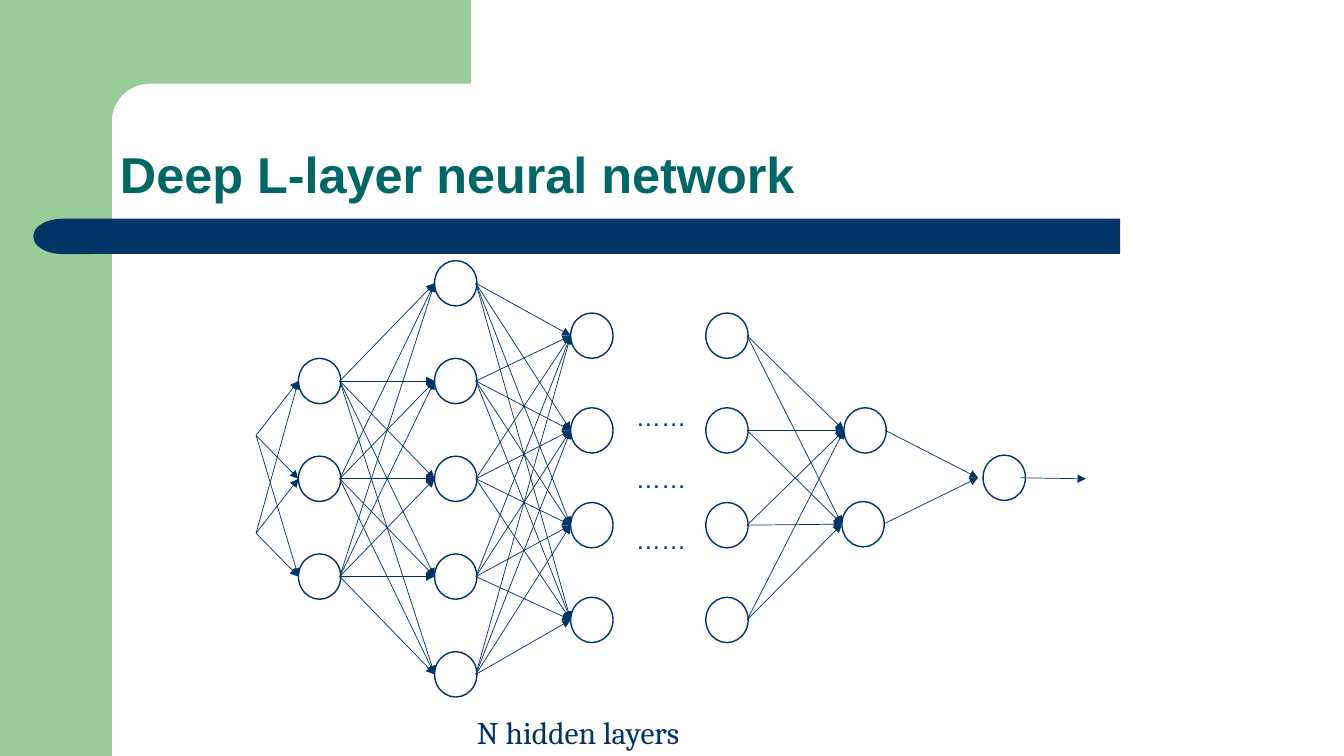
from math import cos, radians, sin

from lxml.etree import SubElement
from pptx import Presentation
from pptx.dml.color import RGBColor
from pptx.enum.shapes import MSO_CONNECTOR, MSO_SHAPE
from pptx.enum.text import MSO_ANCHOR
from pptx.oxml.ns import qn
from pptx.util import Inches, Pt

COLORS = {"green": "99CC99", "navy": "003366", "teal": "006666"}
NODE_WIDTH, NODE_HEIGHT = 0.42, 0.45
NODE_EXIT = 0.41


def paint(shape, color):
    shape.shadow.inherit = False
    shape.fill.solid()
    shape.fill.fore_color.rgb = RGBColor.from_string(COLORS[color])
    shape.line.fill.background()


def add_text(bounds, margins, lines, font_name, size, color, bold=False, gap=0):
    box = page.shapes.add_textbox(*map(Inches, bounds))
    frame = box.text_frame
    frame.word_wrap = True
    frame.margin_left, frame.margin_top, frame.margin_right, frame.margin_bottom = map(Inches, margins)
    for index, line in enumerate(lines):
        para = frame.add_paragraph() if index else frame.paragraphs[0]
        if index:
            para.space_before = Pt(gap)
        span = para.add_run()
        span.text = line
        span.font.name = font_name
        span.font.size = Pt(size)
        span.font.bold = bold
        span.font.color.rgb = RGBColor.from_string(COLORS[color])
    return frame


deck = Presentation()
deck.slide_width, deck.slide_height = Inches(13.33), Inches(7.5)
page = deck.slides.add_slide(deck.slide_layouts[6])

sidebar = page.shapes.add_shape(MSO_SHAPE.RECTANGLE, 0, 0, Inches(1.11), Inches(7.5))
paint(sidebar, "green")

corner = [(1.49 - 0.38 * sin(radians(angle)), 1.2 - 0.37 * cos(radians(angle))) for angle in range(0, 91, 6)]
outline = [(4.67, 0), (4.67, 0.83), *corner, (1.11, 1.28), (0.67, 1.28), (0.67, 0)]
points = [(Inches(x), Inches(y)) for x, y in outline]
builder = page.shapes.build_freeform(*points[0])
builder.add_line_segments(points[1:], close=True)
paint(builder.convert_to_shape(), "green")

band = page.shapes.add_shape(MSO_SHAPE.RECTANGLE, Inches(0.89), Inches(2.17), Inches(10.22), Inches(0.35))
paint(band, "navy")
band_cap = page.shapes.add_shape(MSO_SHAPE.FLOWCHART_DELAY, Inches(0.33), Inches(2.17), Inches(0.57), Inches(0.35))
band_cap.rotation = 180
paint(band_cap, "navy")

title = add_text((1.11, 0.83, 11.56, 1.25), (0.08, 0.05, 0.1, 0.05),
                 ["Deep L-layer neural network"], "Arial", 36, "teal", bold=True)
title.vertical_anchor = MSO_ANCHOR.BOTTOM
title.paragraphs[0].line_spacing = 0.9

inputs = [(2.54, 4.32), (2.54, 5.29)]
first_layer = [(2.96, 3.78 + 0.97 * row) for row in range(3)]
second_layer = [(4.31, 2.81 + 0.97 * row) for row in range(5)]
third_layer, fourth_layer = [[(left, 3.33 + 0.94 * row) for row in range(4)] for left in (5.66, 7)]
last_hidden = [(8.37, 4.27), (8.35, 5.2)]
output_layer = [(9.75, 4.74)]

layers = [first_layer, second_layer, third_layer, fourth_layer, last_hidden, output_layer]
for layer in layers:
    for left, middle in layer:
        node = page.shapes.add_shape(MSO_SHAPE.OVAL, Inches(left), Inches(middle - NODE_HEIGHT / 2),
                                     Inches(NODE_WIDTH), Inches(NODE_HEIGHT))
        node.shadow.inherit = False
        node.fill.background()
        node.line.color.rgb = RGBColor.from_string(COLORS["navy"])
        node.line.width = Pt(1)

exits = [[(left + NODE_EXIT, middle) for left, middle in layer] for layer in layers]
links = [
    (inputs, first_layer),
    (exits[0], second_layer),
    (exits[1], third_layer),
    (exits[3], last_hidden),
    (exits[4], [(9.7, 4.74)]),
    ([(10.12, 4.74)], [(10.77, 4.75)]),
]
for starts, ends in links:
    for start in starts:
        for end in ends:
            arrow = page.shapes.add_connector(MSO_CONNECTOR.STRAIGHT, *map(Inches, start + end))
            arrow.line.color.rgb = RGBColor.from_string(COLORS["navy"])
            arrow.line.width = Pt(0.5)
            SubElement(arrow.line._get_or_add_ln(), qn("a:tailEnd"), type="triangle")
            SubElement(arrow._element.spPr, qn("a:effectLst"))

add_text((6.21, 3.33, 0.9, 2.22), (0.1, 0.65, 0.1, 0.05), ["……"] * 3, "Arial", 18, "navy", gap=22.5)
add_text((4.72, 7.04, 3.78, 0.4), (0.01, 0.03, 0, 0), ["N hidden layers"], "Cambria", 22.5, "navy")

deck.save("out.pptx")
